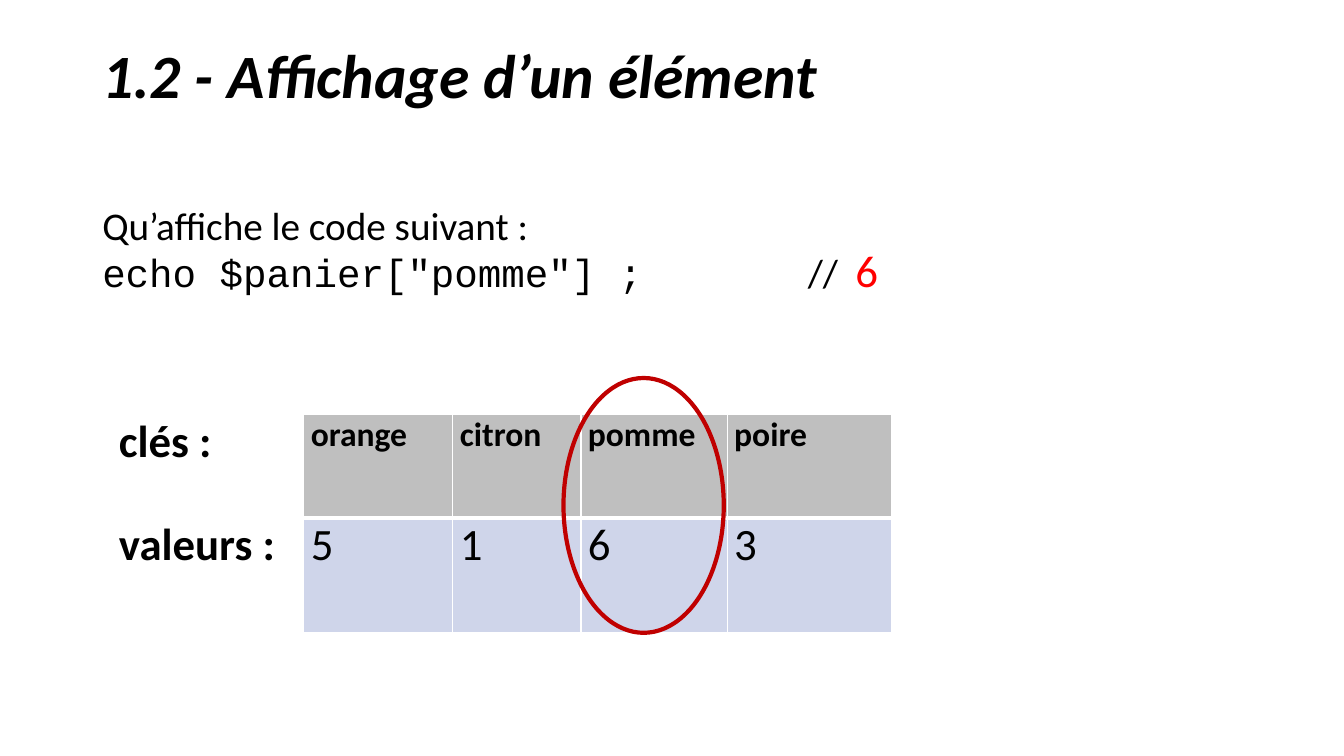
from lxml import etree
from pptx import Presentation
from pptx.dml.color import RGBColor
from pptx.enum import shapes, text
from pptx.oxml import ns
from pptx.util import Pt

TITLE = "1.2 - Affichage d’un élément"
QUESTION = "Qu’affiche le code suivant\u00a0:"
CODE = 'echo $panier["pomme"]\u00a0;'
ANSWER = "6"
BASKET = [
    ["clés :", "orange", "citron", "pomme", "poire"],
    ["valeurs\u00a0:", "5", "1", "6", "3"],
]
ROW_FILLS = ["BFBFBF", "CFD5EA"]
COLUMN_WIDTHS = [137, 106.5, 91.5, 104.5, 117.5]
ROW_HEIGHTS = [74, 82]
ANSWER_TABS = [504, 538]
TABLE_LEFT, TABLE_TOP = 80, 296
MARGIN, BODY_WIDTH = 66, 828


def rgb(value):
    return RGBColor.from_string(value)


def style(span, size, font="Calibri", color="000000", bold=False, italic=False):
    span.font.size = Pt(size)
    span.font.name = font
    span.font.color.rgb = rgb(color)
    span.font.bold = bold
    span.font.italic = italic


def add_box(page, top, height):
    box = page.shapes.add_textbox(Pt(MARGIN), Pt(top), Pt(BODY_WIDTH), Pt(height))
    box.text_frame.word_wrap = True
    return box.text_frame


def add_tab_stops(para, stops):
    tabs = etree.SubElement(para._p.get_or_add_pPr(), ns.qn("a:tabLst"))
    for stop in stops:
        etree.SubElement(tabs, ns.qn("a:tab"), pos=str(Pt(stop)), algn="l")


def add_borders(cell, widths):
    """Draw white borders; widths maps the sides L, R, T, B to points."""
    props = cell._tc.get_or_add_tcPr()
    for side, width in widths.items():
        line = etree.SubElement(props, ns.qn("a:ln" + side), w=str(Pt(width)))
        fill = etree.SubElement(line, ns.qn("a:solidFill"))
        etree.SubElement(fill, ns.qn("a:srgbClr"), val="FFFFFF")


def add_title(page):
    para = add_box(page, 29, 104).paragraphs[0]
    para.text = TITLE
    para.line_spacing = 0.9
    style(para.runs[0], 44, bold=True, italic=True)


def add_question(page):
    frame = add_box(page, 144, 90)
    frame.text = QUESTION
    question, code = frame.paragraphs[0], frame.add_paragraph()
    style(question.runs[0], 28)
    question.line_spacing = code.line_spacing = 0.9
    add_tab_stops(code, ANSWER_TABS)
    code.text = CODE
    style(code.runs[0], 28, "Courier New")
    for words, size, color in [("\t//\t", 28, "000000"), (ANSWER, 32, "FF0000")]:
        span = code.add_run()
        span.text = words
        style(span, size, color=color)


def add_basket(page):
    table = page.shapes.add_table(
        len(BASKET), len(BASKET[0]), Pt(TABLE_LEFT), Pt(TABLE_TOP),
        Pt(sum(COLUMN_WIDTHS)), Pt(sum(ROW_HEIGHTS))).table
    for column, width in zip(table.columns, COLUMN_WIDTHS):
        column.width = Pt(width)
    for r, words in enumerate(BASKET):
        table.rows[r].height = Pt(ROW_HEIGHTS[r])
        for c, word in enumerate(words):
            is_label, is_key = c == 0, r == 0
            cell = table.cell(r, c)
            cell.margin_left = cell.margin_right = Pt(5)
            cell.margin_top = cell.margin_bottom = 0
            add_borders(cell, {"L": 1, "R": 1, "T": 1 if is_key else 3,
                               "B": 3 if is_key else 1})
            if is_label:
                cell.fill.background()
            else:
                cell.fill.solid()
                cell.fill.fore_color.rgb = rgb(ROW_FILLS[r])
            para = cell.text_frame.paragraphs[0]
            para.text = word
            para.alignment = text.PP_ALIGN.JUSTIFY
            style(para.runs[0], 24 if is_key and not is_label else 32,
                  bold=is_label or is_key)


def circle_answer(page):
    ring = page.shapes.add_shape(
        shapes.MSO_SHAPE.OVAL, Pt(402.5), Pt(270), Pt(114.5), Pt(182))
    ring.shadow.inherit = False
    ring.fill.background()
    ring.line.color.rgb = rgb("C00000")
    ring.line.width = Pt(3)


def main():
    deck = Presentation()
    deck.slide_width, deck.slide_height = Pt(960), Pt(540)
    page = deck.slides.add_slide(deck.slide_layouts[6])
    add_title(page)
    add_question(page)
    add_basket(page)
    circle_answer(page)
    deck.save("out.pptx")


if __name__ == "__main__":
    main()
